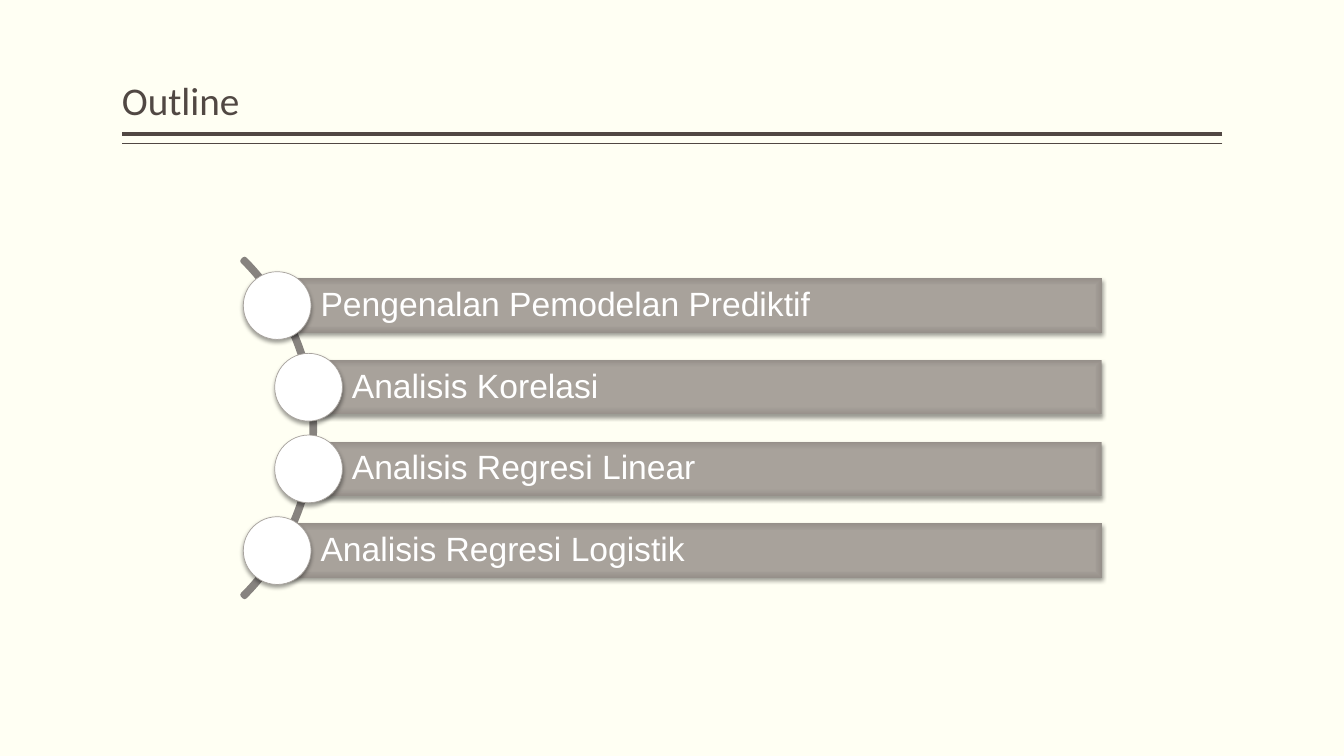
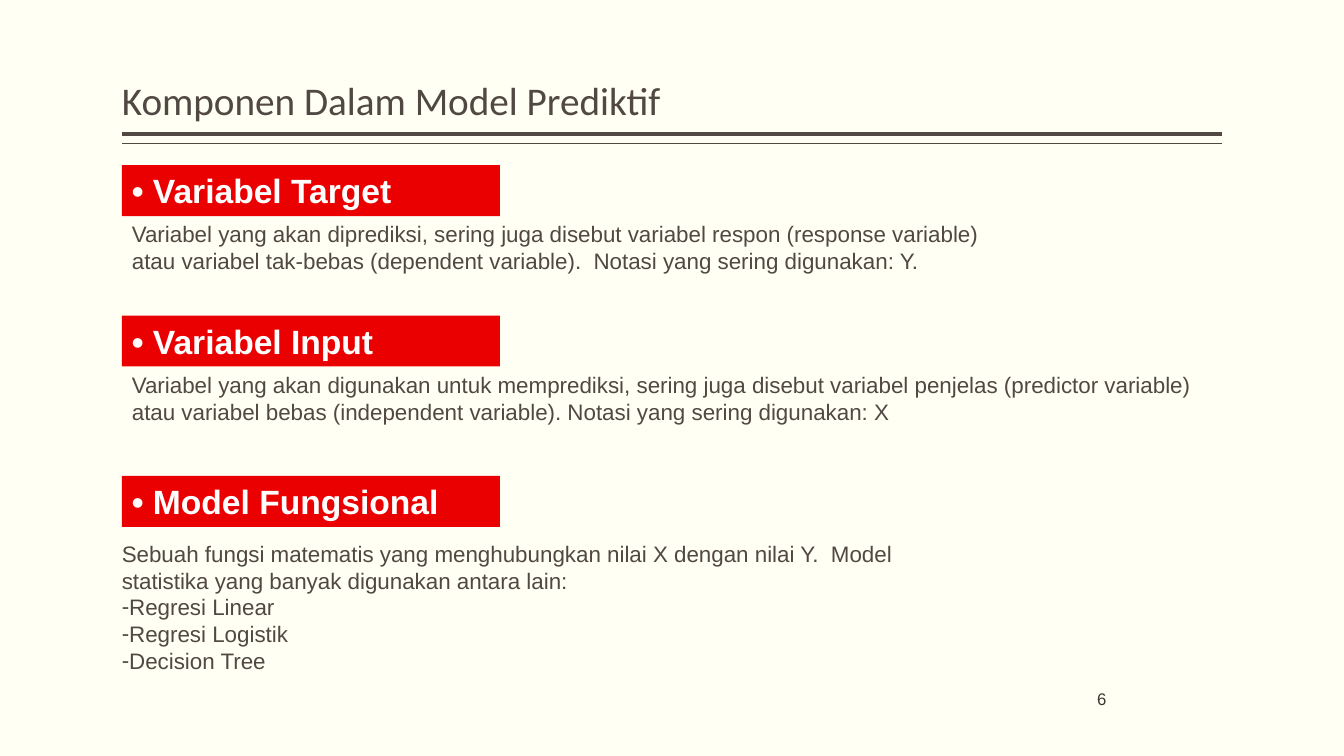
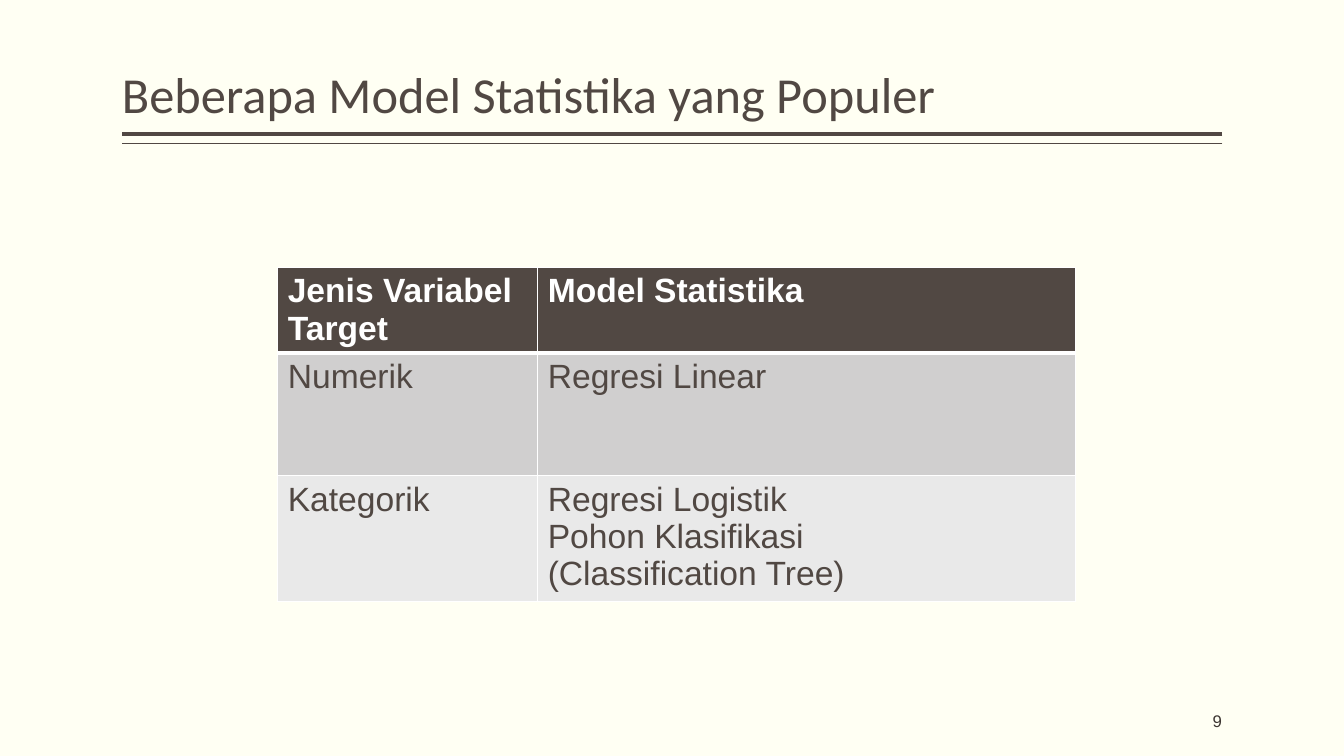
from dataclasses import dataclass

from pptx import Presentation
from pptx.dml.color import RGBColor
from pptx.enum.shapes import MSO_CONNECTOR, MSO_SHAPE
from pptx.enum.text import MSO_ANCHOR, PP_ALIGN
from pptx.oxml import parse_xml
from pptx.oxml.ns import nsdecls, qn
from pptx.util import Pt

# Palette and fonts
CREAM = RGBColor(0xFF, 0xFF, 0xF3)
BROWN = RGBColor(0x51, 0x48, 0x43)
DARK = RGBColor(0x3D, 0x36, 0x32)
GREY = RGBColor(0x87, 0x83, 0x7F)
EDGE = RGBColor(0xA8, 0xA3, 0x9E)
RED = RGBColor(0xEA, 0x00, 0x00)
WHITE = RGBColor(0xFF, 0xFF, 0xFF)
BANDS = (RGBColor(0xD0, 0xCF, 0xCF), RGBColor(0xE9, 0xE9, 0xE9))
# Bar gradient, centre to edge: position in percent, colour
STOPS = (
    (0, RGBColor(0xAA, 0xA3, 0x9C)),
    (71, RGBColor(0xA8, 0xA2, 0x9B)),
    (100, RGBColor(0x96, 0x90, 0x8A)),
)
HEAD, BODY = "Calibri", "Arial"

# Shared frame, in points
LEFT, RIGHT = 87.1, 873.2
RULES = ((95.8, 3), (102.6, 1))


@dataclass(frozen=True)
class Box:
    x: float
    y: float
    w: float
    h: float

    def place(self) -> tuple:
        return Pt(self.x), Pt(self.y), Pt(self.w), Pt(self.h)


@dataclass(frozen=True)
class Face:
    size: float
    color: RGBColor = BROWN
    bold: bool = False
    name: str = BODY


@dataclass(frozen=True)
class Topic:
    text: str
    x: float


@dataclass(frozen=True)
class Part:
    head: str
    top: float
    note: str
    box: Box
    items: tuple = ()


PLAIN = Face(16)
LABEL = Face(24, WHITE, True)
CELL = Face(24)

TOPICS = (
    Topic("Pengenalan Pemodelan Prediktif", 198),
    Topic("Analisis Korelasi", 220.4),
    Topic("Analisis Regresi Linear", 220.4),
    Topic("Analisis Regresi Logistik", 198),
)

PARTS = (
    Part("• Variabel Target", 118,
         "Variabel yang akan diprediksi, sering juga disebut variabel respon "
         "(response variable) atau variabel tak-bebas (dependent variable).  "
         "Notasi yang sering digunakan: Y.",
         Box(LEFT, 153.6, 641.5, 46)),
    Part("• Variabel Input", 225.5,
         "Variabel yang akan digunakan untuk memprediksi, sering juga disebut "
         "variabel penjelas (predictor variable) atau variabel bebas "
         "(independent variable). Notasi yang sering digunakan: X",
         Box(LEFT, 261.6, 772, 46)),
    Part("• Model Fungsional", 340,
         "Sebuah fungsi matematis yang menghubungkan nilai X dengan nilai Y.  "
         "Model statistika yang banyak digunakan antara lain:",
         Box(79.9, 382, 620.6, 104.4),
         ("Regresi Linear", "Regresi Logistik", "Decision Tree")),
)

ROWS = (
    (("Jenis Variabel Target",), ("Model Statistika",)),
    (("Numerik",), ("Regresi Linear",)),
    (("Kategorik",),
     ("Regresi Logistik", "Pohon Klasifikasi", "(Classification Tree)")),
)
COLS = (185.7, 384)
HIGHS = (60.5, 87.5, 87.5)


# Text helpers
def write(frame, lines: tuple, face: Face, align=PP_ALIGN.LEFT,
          lead: float | None = None) -> None:
    frame.word_wrap = True
    for i, line in enumerate(lines):
        para = frame.paragraphs[0] if i == 0 else frame.add_paragraph()
        para.alignment = align
        if lead:
            para.line_spacing = lead
        run = para.add_run()
        run.text = line
        font = run.font
        font.name, font.size, font.bold = face.name, Pt(face.size), face.bold
        font.color.rgb = face.color


def inset(frame, left: float, top: float, right: float, low: float) -> None:
    frame.margin_left, frame.margin_top = Pt(left), Pt(top)
    frame.margin_right, frame.margin_bottom = Pt(right), Pt(low)


def label(slide, box: Box, lines: tuple, face: Face, **style):
    frame = slide.shapes.add_textbox(*box.place()).text_frame
    write(frame, lines, face, **style)
    return frame


def dash(para) -> None:
    props = para._p.get_or_add_pPr()
    props.set("marL", "0")
    props.set("indent", "0")
    props.append(parse_xml(f'<a:buFont {nsdecls("a")} typeface="{BODY}"/>'))
    props.append(parse_xml(f'<a:buChar {nsdecls("a")} char="-"/>'))


# Shape helpers
def draw(slide, kind, box: Box, fill: RGBColor | None = None,
         line: RGBColor | None = None, width: float = 1):
    shape = slide.shapes.add_shape(kind, *box.place())
    shape.shadow.inherit = False
    if fill is None:
        shape.fill.background()
    else:
        shape.fill.solid()
        shape.fill.fore_color.rgb = fill
    if line is None:
        shape.line.fill.background()
    else:
        shape.line.color.rgb = line
        shape.line.width = Pt(width)
    return shape


def shade(shape) -> None:
    effects = shape._element.spPr.find(qn("a:effectLst"))
    effects.append(parse_xml(
        f'<a:outerShdw {nsdecls("a")} blurRad="{Pt(3.1)}" dist="{Pt(2)}" '
        'dir="5400000" rotWithShape="0"><a:srgbClr val="000000">'
        '<a:alpha val="38000"/></a:srgbClr></a:outerShdw>'))


def blend(shape) -> None:
    stops = "".join(
        f'<a:gs pos="{pos * 1000}"><a:srgbClr val="{color}"/></a:gs>'
        for pos, color in STOPS)
    props = shape._element.spPr
    props.replace(props.find(qn("a:solidFill")), parse_xml(
        f'<a:gradFill {nsdecls("a")} rotWithShape="1"><a:gsLst>{stops}</a:gsLst>'
        '<a:path path="rect"><a:fillToRect l="50000" t="50000" r="50000" '
        'b="50000"/></a:path></a:gradFill>'))


def rule(slide, y: float, width: float) -> None:
    line = slide.shapes.add_connector(
        MSO_CONNECTOR.STRAIGHT, Pt(RIGHT), Pt(y), Pt(LEFT), Pt(y))
    line.line.color.rgb = BROWN
    line.line.width = Pt(width)
    line._element.spPr.append(parse_xml(f'<a:effectLst {nsdecls("a")}/>'))


def border(cell, low: float) -> None:
    props = cell._tc.get_or_add_tcPr()
    for side, width in (("L", 1), ("R", 1), ("T", 1), ("B", low)):
        props.append(parse_xml(
            f'<a:ln{side} {nsdecls("a")} w="{Pt(width)}"><a:solidFill>'
            f'<a:srgbClr val="{WHITE}"/></a:solidFill></a:ln{side}>'))


# Shared slide frame
def start(deck, title: str, size: float = 28):
    slide = deck.slides.add_slide(deck.slide_layouts[6])
    for y, width in RULES:
        rule(slide, y, width)
    frame = label(slide, Box(LEFT, 5.8, RIGHT - LEFT, 86.4), (title,),
                  Face(size, name=HEAD), lead=0.9)
    inset(frame, 0, 3.6, 0, 3.6)
    frame.vertical_anchor = MSO_ANCHOR.BOTTOM
    return slide


def number(slide, text: str, x: float, y: float) -> None:
    frame = label(slide, Box(x, y, 144, 28.8), (text,), Face(12, DARK),
                  align=PP_ALIGN.RIGHT)
    inset(frame, 0, 3.6, 0, 3.6)
    frame.vertical_anchor = MSO_ANCHOR.MIDDLE


# Slides
def outline(deck) -> None:
    slide = start(deck, "Outline")
    top, pitch, high, dot, end = 198.8, 58.35, 38.9, 48.4, 787
    arc = draw(slide, MSO_SHAPE.BLOCK_ARC, Box(-116, 135.4, 340.6, 340.6),
               line=GREY, width=3.78)
    for i, value in enumerate((189, 27, 0.005)):
        arc.adjustments[i] = value
    for i, topic in enumerate(TOPICS):
        y = top + i * pitch
        bar = draw(slide, MSO_SHAPE.RECTANGLE,
                   Box(topic.x, y, end - topic.x, high), EDGE)
        blend(bar)
        shade(bar)
        frame = bar.text_frame
        write(frame, (topic.text,), Face(24, WHITE), lead=0.9)
        inset(frame, 31, 4.8, 4.8, 4.8)
        frame.vertical_anchor = MSO_ANCHOR.MIDDLE
        shade(draw(slide, MSO_SHAPE.OVAL,
                   Box(topic.x - dot / 2, y + (high - dot) / 2, dot, dot),
                   WHITE, EDGE, 0.5))


def parts(deck) -> None:
    slide = start(deck, "Komponen Dalam Model Prediktif")
    for part in PARTS:
        tag = draw(slide, MSO_SHAPE.RECTANGLE,
                   Box(LEFT, part.top, 270, 36.3), RED)
        write(tag.text_frame, (part.head,), LABEL)
        tag.text_frame.vertical_anchor = MSO_ANCHOR.TOP
        frame = label(slide, part.box, (part.note, *part.items), PLAIN)
        for para in frame.paragraphs[1:]:
            dash(para)
    number(slide, "6", 646.4, 484.8)


def models(deck) -> None:
    slide = start(deck, "Beberapa Model Statistika yang Populer", 36)
    box = Box(198.4, 191, sum(COLS), sum(HIGHS))
    table = slide.shapes.add_table(len(ROWS), len(COLS), *box.place()).table
    for col, width in zip(table.columns, COLS):
        col.width = Pt(width)
    for i, (row, high) in enumerate(zip(ROWS, HIGHS)):
        table.rows[i].height = Pt(high)
        for j, lines in enumerate(row):
            cell = table.cell(i, j)
            cell.margin_bottom = Pt(0)
            border(cell, 1 if i else 3)
            cell.fill.solid()
            cell.fill.fore_color.rgb = BANDS[i - 1] if i else BROWN
            write(cell.text_frame, lines, CELL if i else LABEL)
    number(slide, "9", 728.8, 500.4)


def main() -> None:
    deck = Presentation()
    deck.slide_width, deck.slide_height = Pt(960), Pt(540)
    back = deck.slide_master.background.fill
    back.solid()
    back.fore_color.rgb = CREAM
    outline(deck)
    parts(deck)
    models(deck)
    deck.save("out.pptx")


if __name__ == "__main__":
    main()
